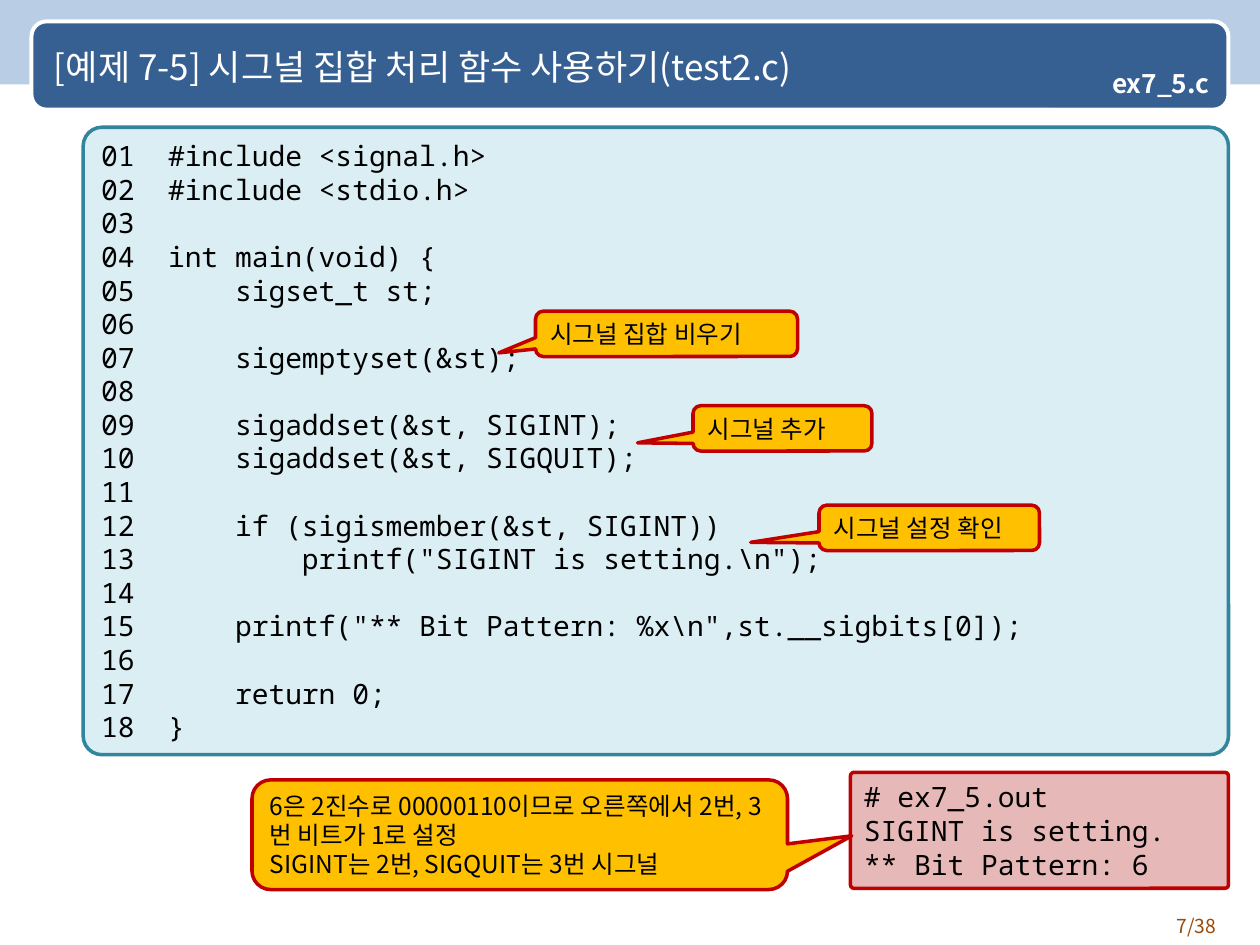
from dataclasses import dataclass

from lxml.etree import SubElement
from pptx import Presentation
from pptx.dml.color import RGBColor
from pptx.enum.shapes import MSO_SHAPE
from pptx.enum.text import MSO_ANCHOR, PP_ALIGN
from pptx.oxml.ns import qn
from pptx.util import Inches, Pt

SANS = "Noto Sans CJK KR"
MONO = "Noto Sans Mono"
NAVY = "376092"
WHITE = "FFFFFF"
BLACK = "000000"
RED = "C00000"


@dataclass
class Style:
    size: float
    color: str = BLACK
    font: str = SANS
    bold: bool = False
    align: PP_ALIGN = PP_ALIGN.LEFT
    anchor: MSO_ANCHOR = MSO_ANCHOR.MIDDLE
    inset: float = 0.1
    line_spacing: float = 1.0
    space_after: float = 0


@dataclass
class Box:
    at: tuple[float, float, float, float]
    fill: str
    line: str | None = None
    width: float = 2
    kind: MSO_SHAPE = MSO_SHAPE.ROUNDED_RECTANGLE
    adj: tuple[float, ...] = ()


@dataclass
class Callout:
    at: tuple[float, float, float, float]
    tip: tuple[float, float]
    lines: list[str]


def rgb(color: str) -> RGBColor:
    return RGBColor.from_string(color)


def set_all(target, values: dict) -> None:
    for name, value in values.items():
        setattr(target, name, value)


def write(sp, lines: list[str], st: Style) -> None:
    tf = sp.text_frame
    side, edge = Inches(st.inset), Inches(min(st.inset, 0.05) if st.inset == 0.1 else st.inset)
    set_all(tf, {"word_wrap": True, "vertical_anchor": st.anchor,
                 "margin_left": side, "margin_right": side,
                 "margin_top": edge, "margin_bottom": edge})
    for i, line in enumerate(lines):
        p = tf.paragraphs[0] if i == 0 else tf.add_paragraph()
        set_all(p, {"alignment": st.align, "line_spacing": st.line_spacing,
                    "space_after": Pt(st.space_after)})
        r = p.add_run()
        r.text = line
        set_all(r.font, {"size": Pt(st.size), "bold": st.bold, "name": st.font})
        r.font.color.rgb = rgb(st.color)
        # Korean text takes the East Asian font
        SubElement(r.font._element, qn("a:ea"), typeface=st.font)


def add_box(s, box: Box):
    sp = s.shapes.add_shape(box.kind, *map(Inches, box.at))
    sp.shadow.inherit = False
    for i, value in enumerate(box.adj):
        sp.adjustments[i] = value
    sp.fill.solid()
    sp.fill.fore_color.rgb = rgb(box.fill)
    if box.line:
        sp.line.color.rgb = rgb(box.line)
        sp.line.width = Pt(box.width)
    else:
        sp.line.fill.background()
    return sp


def add_text(s, at: tuple[float, float, float, float], line: str, st: Style) -> None:
    write(s.shapes.add_textbox(*map(Inches, at)), [line], st)


def add_callout(s, c: Callout) -> None:
    sp = add_box(s, Box(c.at, "FFC000", RED, kind=MSO_SHAPE.ROUNDED_RECTANGULAR_CALLOUT,
                        adj=(*c.tip, 0.17)))
    write(sp, c.lines, Style(14))


CODE = r"""
#include <signal.h>
#include <stdio.h>

int main(void) {
    sigset_t st;

    sigemptyset(&st);

    sigaddset(&st, SIGINT);
    sigaddset(&st, SIGQUIT);

    if (sigismember(&st, SIGINT))
        printf("SIGINT is setting.\n");

    printf("** Bit Pattern: %x\n",st.__sigbits[0]);

    return 0;
}
""".strip().split("\n")

OUTPUT = ["# ex7_5.out", "SIGINT is setting.", "** Bit Pattern: 6"]

CALLOUTS = [
    Callout((4.25, 2.47, 2.08, 0.36), (-0.64, 0.42), ["시그널 집합 비우기"]),
    Callout((5.5, 3.22, 1.42, 0.36), (-0.81, 0.32), ["시그널 추가"]),
    Callout((6.5, 4.01, 1.75, 0.36), (-0.81, 0.32), ["시그널 설정 확인"]),
    Callout((2, 6.19, 4.25, 0.87), (0.62, 0.01),
            ["6은 2진수로 00000110이므로 오른쪽에서 2번, 3번 비트가 1로 설정",
             "SIGINT는 2번, SIGQUIT는 3번 시그널"]),
]


def main() -> None:
    prs = Presentation()
    prs.slide_width, prs.slide_height = Inches(10), Inches(7.5)
    s = prs.slides.add_slide(prs.slide_layouts[6])

    # Header band, title and file name
    add_box(s, Box((0, 0, 10, 0.67), "B9CDE5", kind=MSO_SHAPE.RECTANGLE))
    add_box(s, Box((0.25, 0.17, 9.5, 0.7), NAVY, WHITE, 2.25, adj=(0.17,)))
    add_text(s, (0.33, 0.19, 9.25, 0.67),
             "[예제 7-5] 시그널 집합 처리 함수 사용하기(test2.c)", Style(20, WHITE))
    tag = add_box(s, Box((8.33, 0.5, 1.33, 0.35), NAVY, kind=MSO_SHAPE.RECTANGLE))
    write(tag, ["ex7_5.c"], Style(15, WHITE, bold=True, align=PP_ALIGN.RIGHT, inset=0.06,
                                  line_spacing=0.9, space_after=6.5))

    # Numbered listing and program output
    code_style = Style(16, font=MONO, align=PP_ALIGN.JUSTIFY)
    listing = add_box(s, Box((0.66, 1.01, 9.09, 4.98), "DBEEF4", "31859C", adj=(0.03,)))
    write(listing, [f"{n:02}  {line}" for n, line in enumerate(CODE, 1)], code_style)
    output = add_box(s, Box((6.75, 6.13, 3, 0.92), "E6B9B8", RED, adj=(0.03,)))
    write(output, OUTPUT, code_style)

    # Explanations
    for callout in CALLOUTS:
        add_callout(s, callout)

    # Page number
    add_text(s, (8.92, 7.21, 0.83, 0.29), "7/38",
             Style(11, "984807", align=PP_ALIGN.RIGHT, anchor=MSO_ANCHOR.TOP))

    prs.save("out.pptx")


if __name__ == "__main__":
    main()
